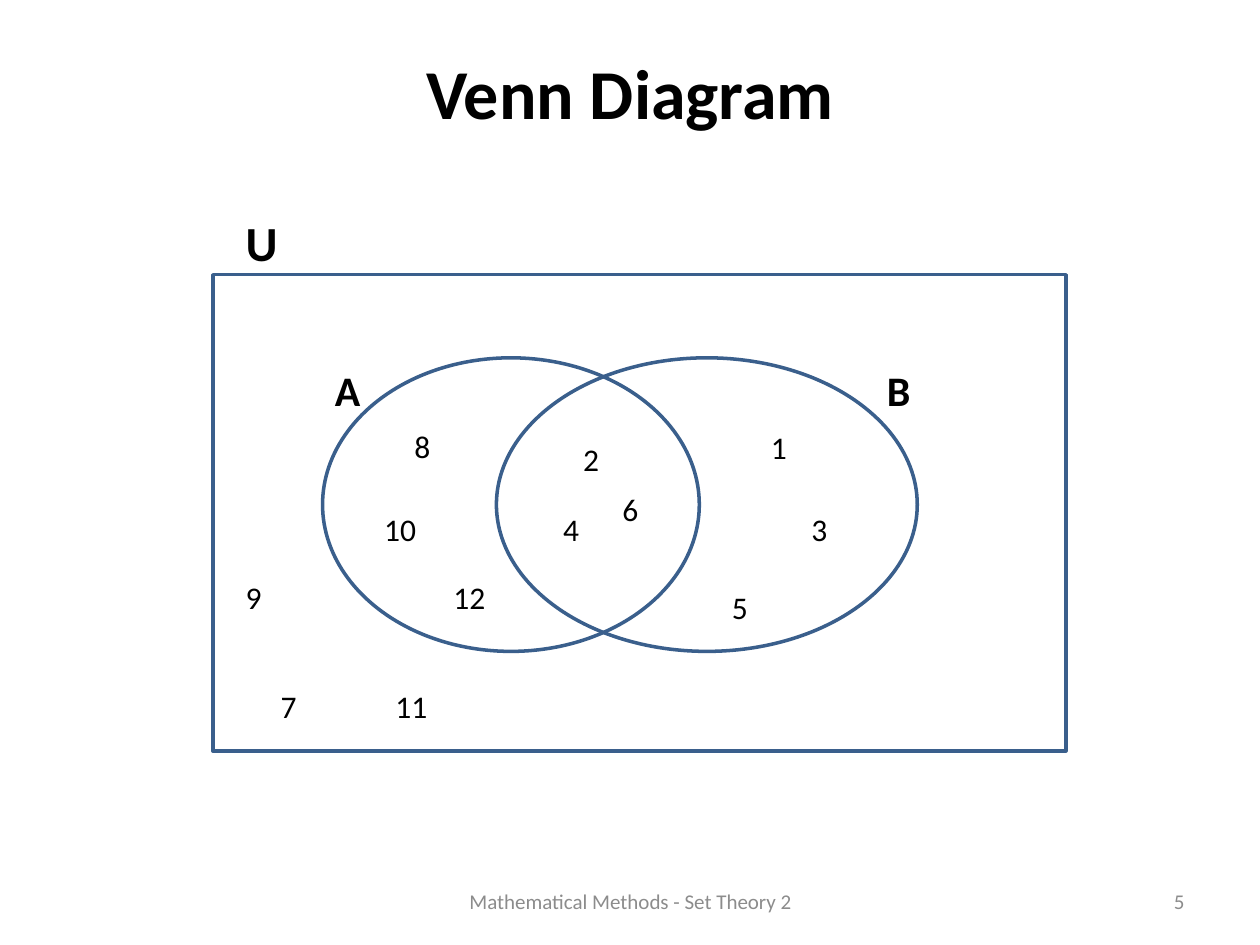
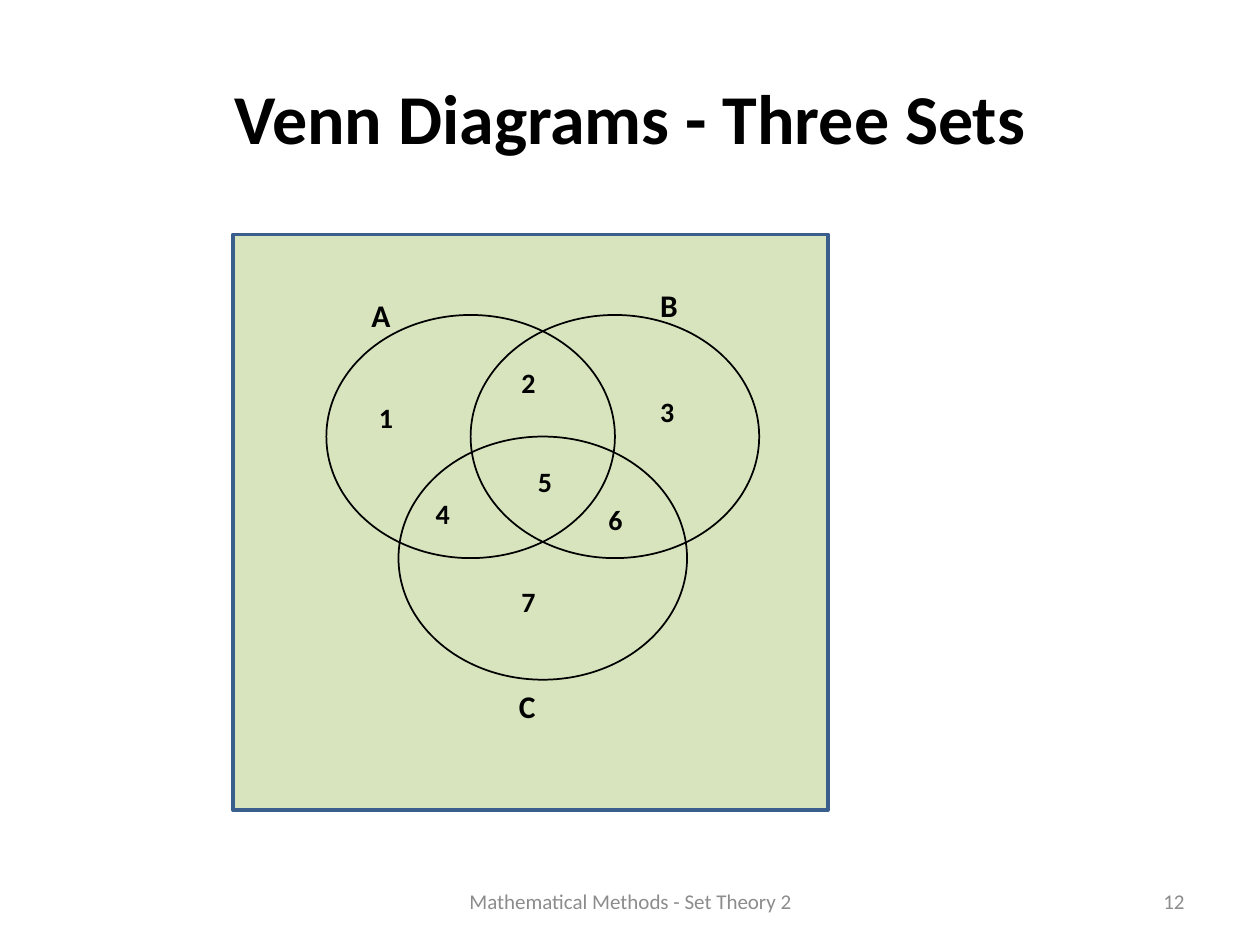
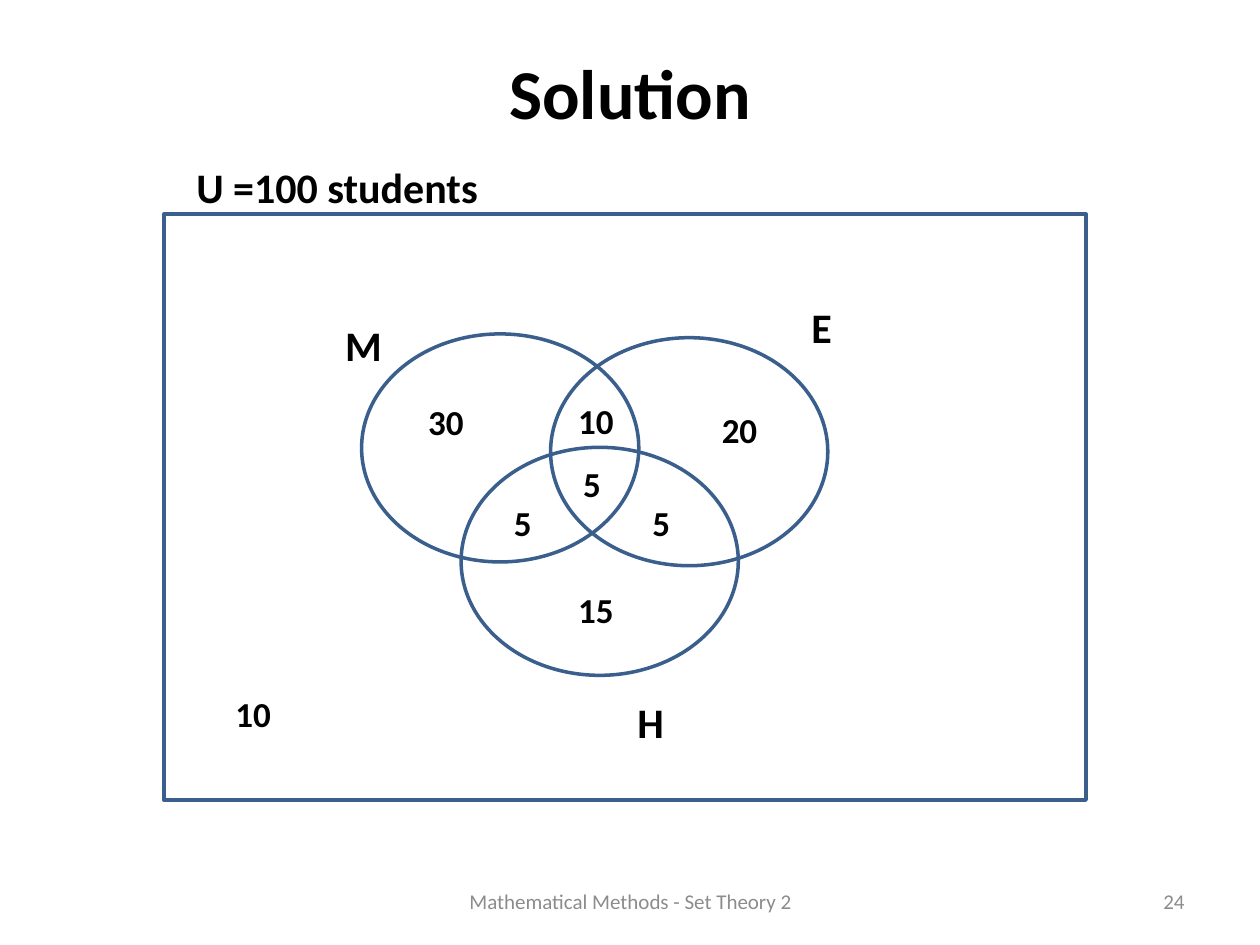
from pptx import Presentation
from pptx import util as u
from pptx.dml import color
from pptx.enum import shapes, text

BLUE, GREEN, BLACK, GREY = "3A5F8C", "D7E4BD", "000000", "8C8C8C"
FONT = "Calibri"
FOOTER = "Mathematical Methods - Set Theory 2"
LEFT, MID, RIGHT = text.PP_ALIGN.LEFT, text.PP_ALIGN.CENTER, text.PP_ALIGN.RIGHT
TOP, CENTRE = text.MSO_ANCHOR.TOP, text.MSO_ANCHOR.MIDDLE
RECT, OVAL = shapes.MSO_SHAPE.RECTANGLE, shapes.MSO_SHAPE.OVAL


def rgb(code):
    return color.RGBColor.from_string(code)


def inches(box):
    return [u.Inches(n) for n in box]


def write(tree, box, words, size, bold=False, ink=BLACK, align=LEFT, anchor=TOP):
    frame = tree.add_textbox(*inches(box)).text_frame
    frame.word_wrap = True
    frame.vertical_anchor = anchor
    para = frame.paragraphs[0]
    para.alignment = align
    run = para.add_run()
    run.text = words
    font = run.font
    font.name, font.size, font.bold = FONT, u.Pt(size), bold
    font.color.rgb = rgb(ink)


def outline(tree, kind, box, ink=BLUE, width=2, fill=None):
    shape = tree.add_shape(kind, *inches(box))
    shape.shadow.inherit = False
    if fill:
        shape.fill.solid()
        shape.fill.fore_color.rgb = rgb(fill)
    else:
        shape.fill.background()
    shape.line.color.rgb = rgb(ink)
    shape.line.width = u.Pt(width)


def start(deck, title, number, height=0.85):
    page = deck.slides.add_slide(deck.slide_layouts[6])
    tree = page.shapes
    write(tree, (0.5, 0.3, 9, height), title, 40, True, align=MID, anchor=CENTRE)
    write(tree, (3.42, 6.95, 3.17, 0.4), FOOTER, 12, ink=GREY, align=MID, anchor=CENTRE)
    write(tree, (7.17, 6.95, 2.33, 0.4), str(number), 12, ink=GREY, align=RIGHT, anchor=CENTRE)
    return tree


def circles(tree, box, ovals, ink=BLUE, width=2):
    for x, y, w, h in ovals:
        outline(tree, OVAL, (box[0] + x, box[1] + y, w, h), ink, width)


def labels(tree, box, items, size, height, bold=True):
    for words, x, y, w in items:
        write(tree, (box[0] + x, box[1] + y, w, height), words, size, bold)


def two_sets(deck, box):
    tree = start(deck, "Venn Diagram", 5)
    outline(tree, RECT, box)
    circles(tree, box, [(0.87, 0.66, 2.99, 2.33), (2.25, 0.66, 3.34, 2.33)])
    labels(tree, box, [("U", 0.16, -0.54, 0.55)], 28, 0.57)
    labels(tree, box, [("A", 0.87, 0.66, 0.48), ("B", 5.25, 0.66, 0.47)], 24, 0.5)
    members = [
        ("2", 2.84, 1.26, 0.31), ("4", 2.68, 1.82, 0.31), ("6", 3.15, 1.66, 0.39),
        ("8", 1.5, 1.16, 0.31), ("10", 1.26, 1.82, 0.55), ("12", 1.81, 2.36, 0.55),
        ("1", 4.33, 1.17, 0.39), ("3", 4.65, 1.82, 0.39), ("5", 4.02, 2.44, 0.39),
        ("7", 0.44, 3.22, 0.43), ("9", 0.16, 2.36, 0.39), ("11", 1.35, 3.22, 0.46),
    ]
    labels(tree, box, members, 18, 0.4, False)


def three_sets(deck, box):
    tree = start(deck, "Venn Diagrams - Three Sets", 12, 1.25)
    outline(tree, RECT, box, fill=GREEN)
    group = tree.add_group_shape().shapes
    w, h = 2.29, 1.93
    steps = [(0, 0), (0.5, 0), (0.25, 0.5)]
    ovals = [(0.74 + w * x, 0.64 + h * y, w, h) for x, y in steps]
    circles(group, box, ovals, BLACK, 1)
    spots = [(1.06, 1.27), (2.19, 0.99), (3.29, 1.22), (1.51, 2.03),
             (2.32, 1.78), (2.88, 2.08), (2.19, 2.73)]
    regions = [(str(n), x, y, 0.33) for n, (x, y) in enumerate(spots, 1)]
    labels(group, box, regions, 16, 0.51)
    names = [("A", 1, 0.44, 0.63), ("B", 3.29, 0.36, 0.61), ("C", 2.17, 3.54, 0.63)]
    labels(group, box, names, 18, 0.56)


def solution(deck, box):
    tree = start(deck, "Solution", 24)
    outline(tree, RECT, box)
    spots = [(1.57, 0.95), (3.07, 0.98), (2.36, 1.85)]
    circles(tree, box, [(x, y, 2.2, 1.81) for x, y in spots])
    names = [("U =100 students", 0.16, -0.47, 2.6), ("H", 3.66, 3.78, 0.39),
             ("M", 1.34, 0.79, 0.47), ("E", 5.04, 0.64, 0.55)]
    labels(tree, box, names, 24, 0.5)
    counts = [
        ("5", 3.23, 1.92, 0.28), ("10", 3.19, 1.42, 0.55),
        ("5", 2.68, 2.23, 0.39), ("5", 3.78, 2.23, 0.39),
        ("30", 2, 1.43, 0.68), ("20", 4.33, 1.49, 0.68),
        ("15", 3.19, 2.92, 0.68), ("10", 0.47, 3.75, 0.71),
    ]
    labels(tree, box, counts, 20, 0.44)


def main():
    deck = Presentation()
    deck.slide_width, deck.slide_height = inches((10, 7.5))
    two_sets(deck, (1.69, 2.18, 6.77, 3.78))
    three_sets(deck, (1.85, 1.86, 4.72, 4.57))
    solution(deck, (1.3, 1.7, 7.32, 4.65))
    deck.save("out.pptx")


if __name__ == "__main__":
    main()
